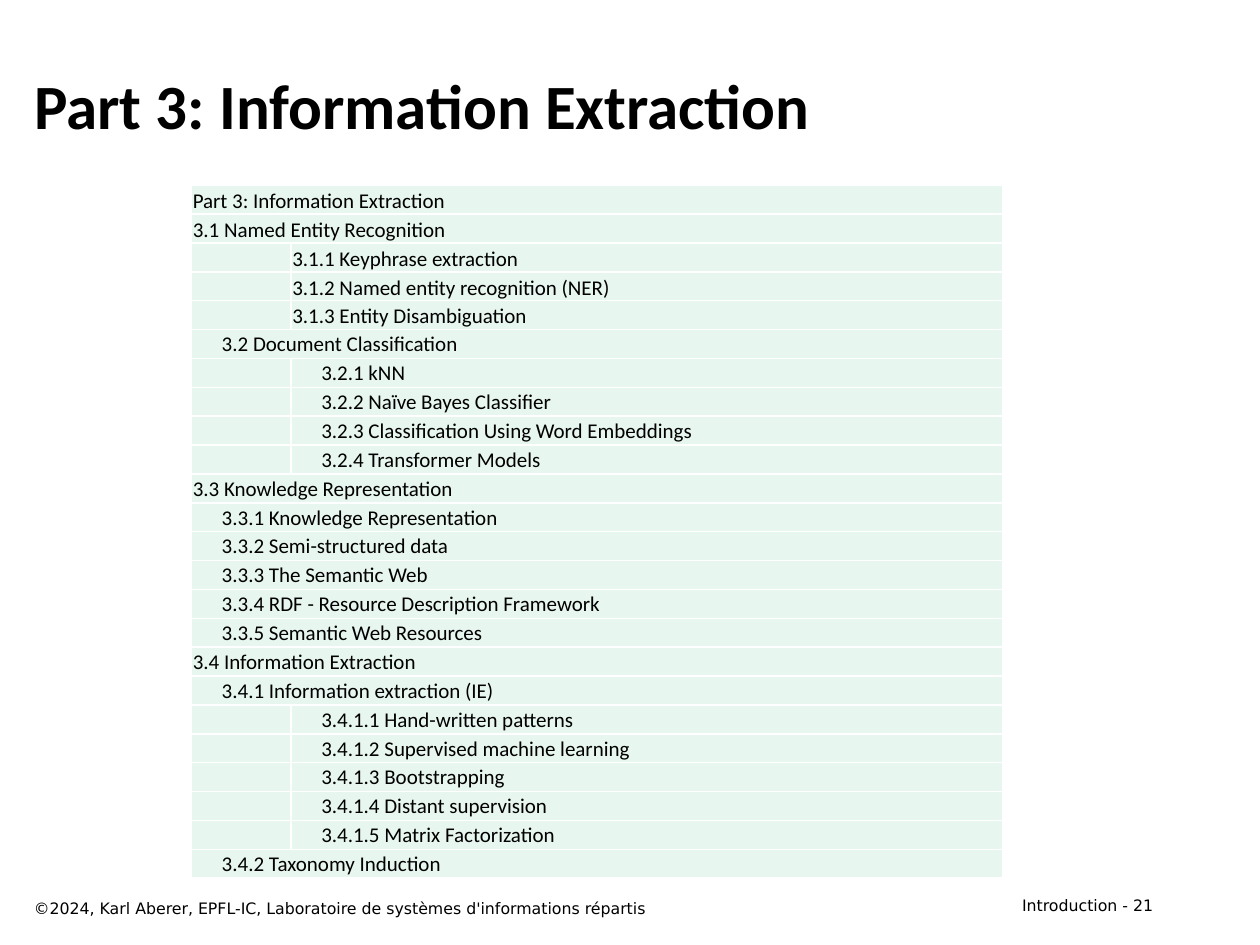
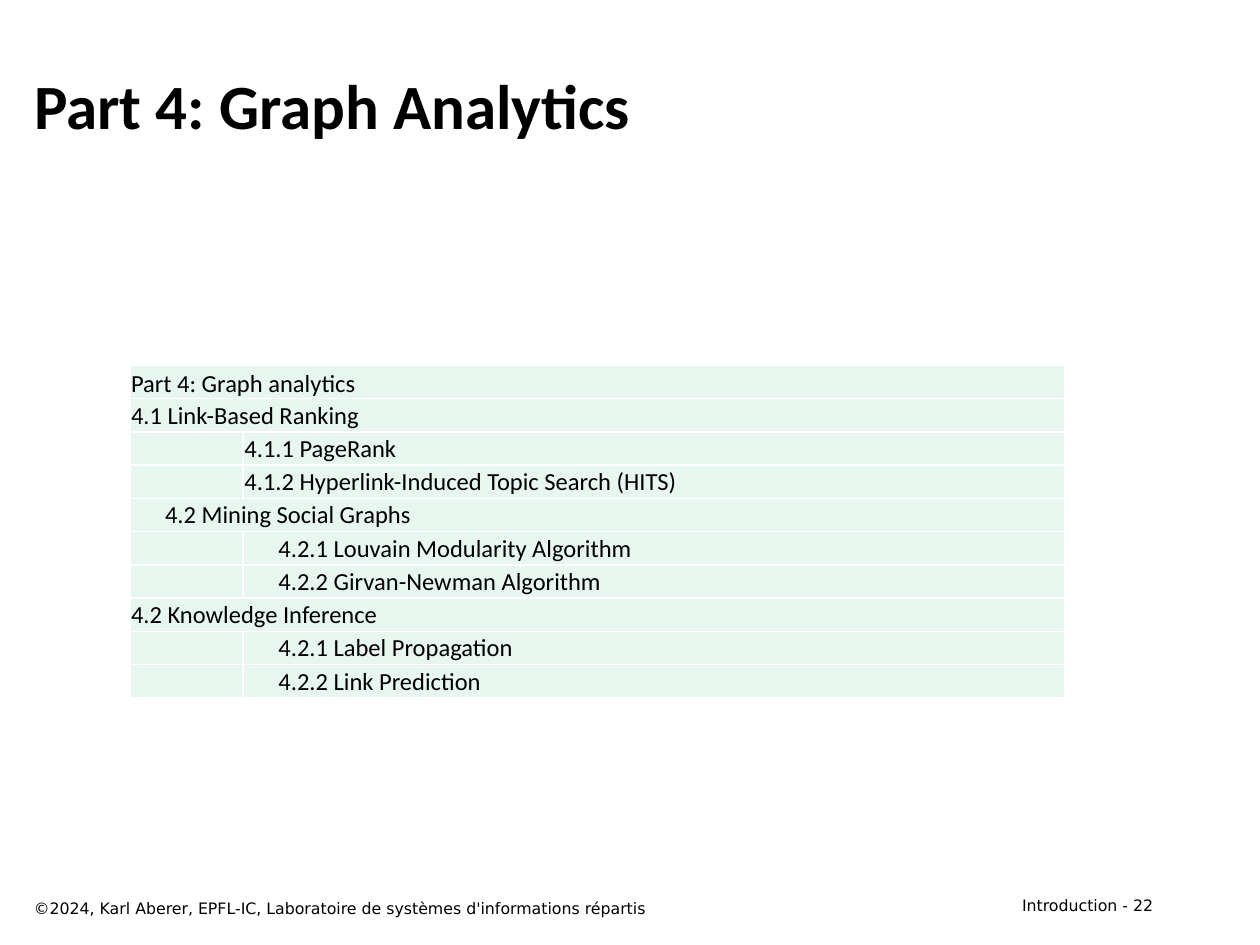
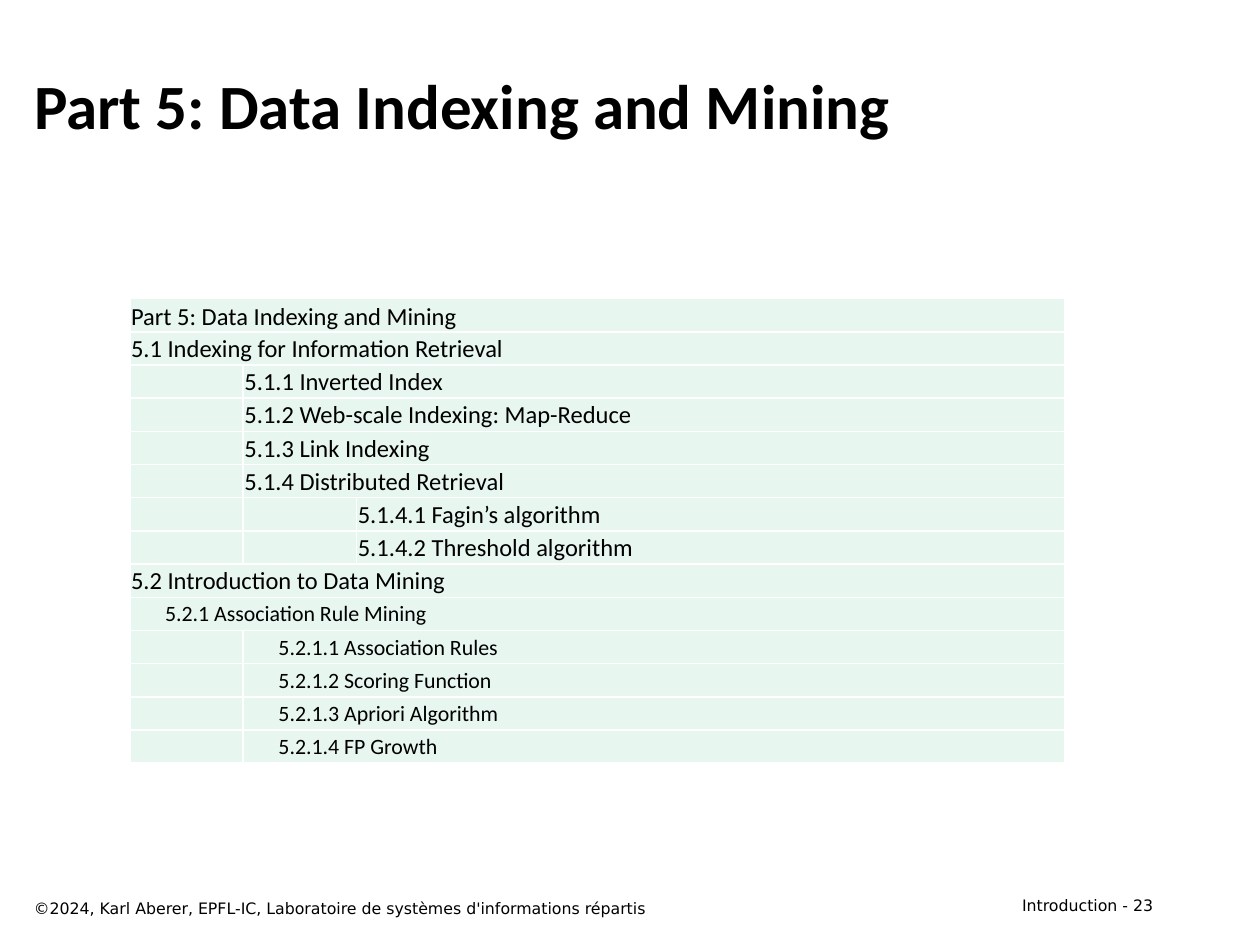
"""Build three course outline slides, each with a table of contents."""
from dataclasses import dataclass

from lxml import etree
from pptx import Presentation
from pptx.dml import color
from pptx.enum import text
from pptx.oxml import ns
from pptx.util import Inches, Pt


@dataclass(frozen=True)
class Theme:
    """Colours, fonts and type sizes shared by the slides."""
    ink: str = "000000"
    cell: str = "E7F6EF"
    border: str = "FFFFFF"
    main_font: str = "Calibri"
    footer_font: str = "DejaVu Sans"
    title_size: float = 36
    footer_size: float = 9


@dataclass(frozen=True)
class Group:
    """Consecutive entries that share a column, an indent and a type size."""
    column: int
    indented: bool
    entries: tuple
    size: float = 0


COPYRIGHT = "©2024, Karl Aberer, EPFL-IC, Laboratoire de systèmes d'informations répartis"

PART_3 = (
    Group(0, False, ("Part 3: Information Extraction", "3.1 Named Entity Recognition")),
    Group(1, False, ("3.1.1 Keyphrase extraction", "3.1.2 Named entity recognition (NER)",
                     "3.1.3 Entity Disambiguation")),
    Group(0, True, ("3.2 Document Classification",)),
    Group(1, True, ("3.2.1 kNN", "3.2.2 Naïve Bayes Classifier",
                    "3.2.3 Classification Using Word Embeddings", "3.2.4 Transformer Models")),
    Group(0, False, ("3.3 Knowledge Representation",)),
    Group(0, True, ("3.3.1 Knowledge Representation", "3.3.2 Semi-structured data",
                    "3.3.3 The Semantic Web", "3.3.4 RDF - Resource Description Framework",
                    "3.3.5 Semantic Web Resources")),
    Group(0, False, ("3.4 Information Extraction",)),
    Group(0, True, ("3.4.1 Information extraction (IE)",)),
    Group(1, True, ("3.4.1.1 Hand-written patterns", "3.4.1.2 Supervised machine learning",
                    "3.4.1.3 Bootstrapping", "3.4.1.4 Distant supervision",
                    "3.4.1.5 Matrix Factorization")),
    Group(0, True, ("3.4.2 Taxonomy Induction",)),
)

PART_4 = (
    Group(0, False, ("Part 4: Graph analytics", "4.1 Link-Based Ranking")),
    Group(1, False, ("4.1.1 PageRank", "4.1.2 Hyperlink-Induced Topic Search (HITS)")),
    Group(0, True, ("4.2 Mining Social Graphs",)),
    Group(1, True, ("4.2.1 Louvain Modularity Algorithm", "4.2.2 Girvan-Newman Algorithm")),
    Group(0, False, ("4.2 Knowledge Inference",)),
    Group(1, True, ("4.2.1 Label Propagation", "4.2.2 Link Prediction")),
)

PART_5 = (
    Group(0, False, ("Part 5: Data Indexing and Mining",
                     "5.1 Indexing for Information Retrieval")),
    Group(1, False, ("5.1.1 Inverted Index", "5.1.2 Web-scale Indexing: Map-Reduce",
                     "5.1.3 Link Indexing", "5.1.4 Distributed Retrieval")),
    Group(2, False, ("5.1.4.1 Fagin’s algorithm", "5.1.4.2 Threshold algorithm")),
    Group(0, False, ("5.2 Introduction to Data Mining",)),
    Group(0, True, ("5.2.1 Association Rule Mining",), 12.5),
    Group(1, True, ("5.2.1.1 Association Rules", "5.2.1.2 Scoring Function",
                    "5.2.1.3 Apriori Algorithm", "5.2.1.4 FP Growth"), 12.5),
)


class Deck:
    """Hold the theme and the current slide, and draw its elements."""

    def __init__(self, theme):
        """Start an empty 10 by 7.5 inch presentation."""
        self.theme = theme
        self.presentation = Presentation()
        self.presentation.slide_width = Inches(10)
        self.presentation.slide_height = Inches(7.5)
        self.slide = None

    def start_slide(self, title, number):
        """Add a slide with its title and both footers."""
        self.slide = self.presentation.slides.add_slide(self.presentation.slide_layouts[5])
        self.add_title(title)
        self.add_footer(COPYRIGHT, 0.17, 7.08, 6.42, text.PP_ALIGN.LEFT)
        self.add_footer(f"Introduction - {number}", 7.17, 7.06, 2.08, text.PP_ALIGN.RIGHT)

    def add_run(self, paragraph, words, size, font, bold=False):
        """Append one formatted run to a paragraph."""
        run = paragraph.add_run()
        run.text = words
        run.font.size = Pt(size)
        run.font.name = font
        run.font.bold = bold
        run.font.color.rgb = color.RGBColor.from_string(self.theme.ink)

    def add_title(self, words):
        """Move and fill the title placeholder."""
        shape = self.slide.shapes.title
        shape.left, shape.top = Inches(0.17), Inches(0.33)
        shape.width, shape.height = Inches(9.08), Inches(1)
        frame = shape.text_frame
        frame.auto_size = text.MSO_AUTO_SIZE.NONE
        frame.vertical_anchor = text.MSO_ANCHOR.MIDDLE
        paragraph = frame.paragraphs[0]
        paragraph.alignment = text.PP_ALIGN.LEFT
        self.add_run(paragraph, words, self.theme.title_size, self.theme.main_font, True)

    def add_footer(self, words, left, top, width, alignment):
        """Add a line of small text at the foot of the slide."""
        shape = self.slide.shapes.add_textbox(
            Inches(left), Inches(top), Inches(width), Inches(0.25))
        shape.text_frame.word_wrap = True
        paragraph = shape.text_frame.paragraphs[0]
        paragraph.alignment = alignment
        self.add_run(paragraph, words, self.theme.footer_size, self.theme.footer_font)

    def style_cell(self, cell, size):
        """Give a cell its borders, fill, margins and empty-text size."""
        properties = cell._tc.get_or_add_tcPr()
        for side in ("a:lnL", "a:lnR", "a:lnT", "a:lnB"):
            line = etree.SubElement(properties, ns.qn(side), w=str(Pt(1)))
            fill = etree.SubElement(line, ns.qn("a:solidFill"))
            etree.SubElement(fill, ns.qn("a:srgbClr"), val=self.theme.border)
        cell.fill.solid()
        cell.fill.fore_color.rgb = color.RGBColor.from_string(self.theme.cell)
        cell.margin_left = cell.margin_right = cell.margin_top = Inches(0.01)
        cell.margin_bottom = 0
        paragraph = cell.text_frame.paragraphs[0]
        etree.SubElement(paragraph._p, ns.qn("a:endParaRPr"), sz=str(int(size * 100)))

    def add_outline(self, groups, box, steps, indent, size, bottom_rows=1):
        """Add a table whose entries span from their column to the right edge."""
        rows = [(group, entry) for group in groups for entry in group.entries]
        left, top, width, height = map(Inches, box)
        table = self.slide.shapes.add_table(
            len(rows), len(steps) + 1, left, top, width, height).table
        table.first_row = table.horz_banding = False
        widths = [Inches(step) for step in steps]
        for column, column_width in zip(table.columns, widths + [width - sum(widths)]):
            column.width = column_width
        for index, (group, entry) in enumerate(rows):
            for cell in table.rows[index].cells:
                self.style_cell(cell, size)
            cell = table.cell(index, group.column)
            if group.column < len(steps):
                cell.merge(table.cell(index, len(steps)))
            if group.indented:
                cell.margin_left = Inches(indent)
            anchors = text.MSO_ANCHOR
            cell.vertical_anchor = anchors.BOTTOM if index < bottom_rows else anchors.MIDDLE
            self.add_run(cell.text_frame.paragraphs[0], entry, group.size or size,
                         self.theme.main_font)


def main():
    """Build the slides and save them."""
    deck = Deck(Theme())
    deck.start_slide("Part 3: Information Extraction", 21)
    deck.add_outline(PART_3, (1.52, 1.47, 6.44, 5.5), [0.79], 0.24, 12, bottom_rows=5)
    deck.start_slide("Part 4: Graph Analytics", 22)
    deck.add_outline(PART_4, (1.03, 2.9, 7.42, 2.64), [0.9], 0.28, 14)
    deck.start_slide("Part 5: Data Indexing and Mining", 23)
    deck.add_outline(PART_5, (1.03, 2.37, 7.42, 3.69), [0.9, 0.9], 0.28, 14)
    deck.presentation.save("out.pptx")


if __name__ == "__main__":
    main()
